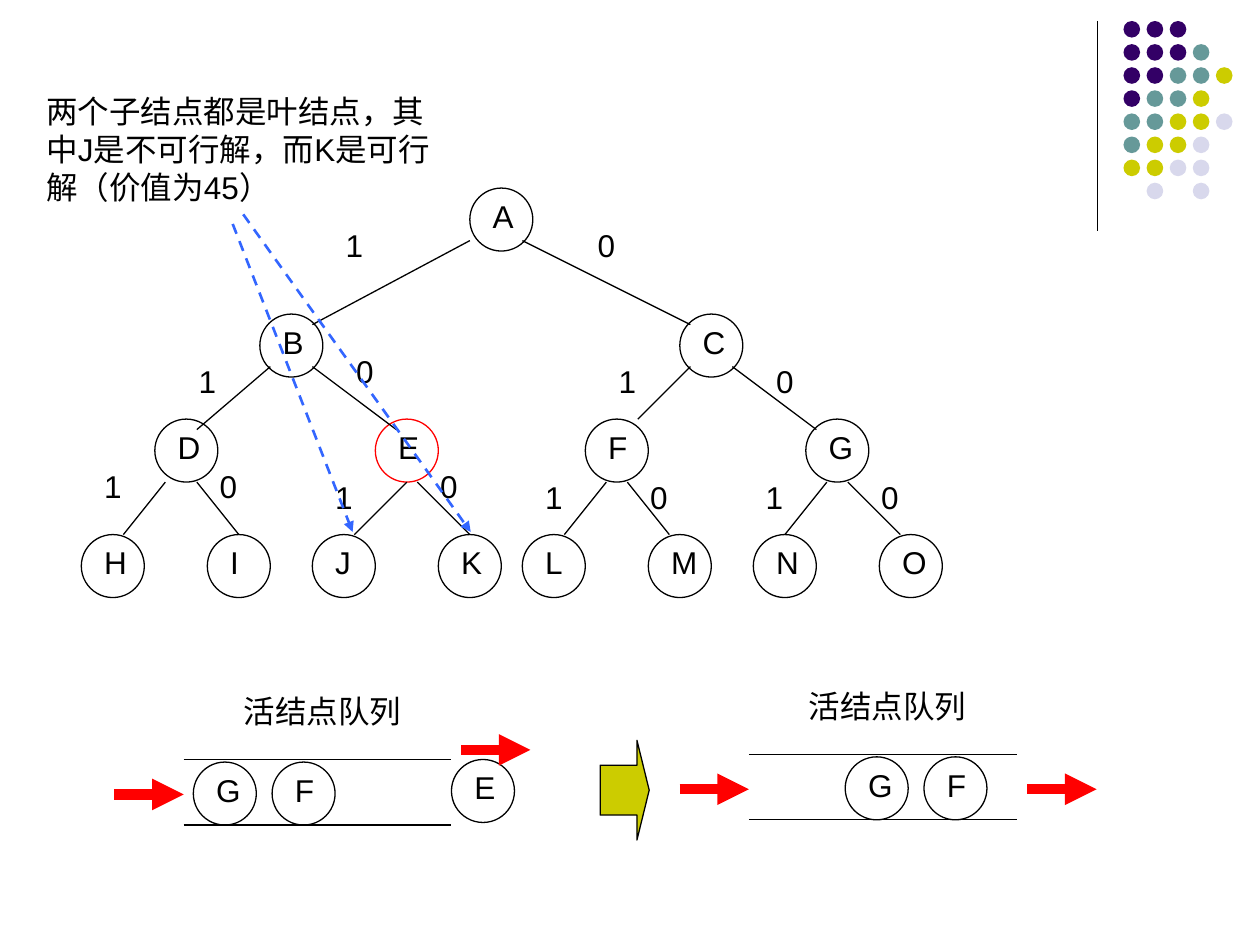
from dataclasses import dataclass
from typing import Optional

from lxml import etree
from pptx import Presentation
from pptx.dml.color import RGBColor
from pptx.enum.dml import MSO_LINE
from pptx.enum.shapes import MSO_CONNECTOR, MSO_SHAPE
from pptx.enum.text import MSO_AUTO_SIZE, PP_ALIGN
from pptx.oxml.ns import qn
from pptx.util import Pt

OVAL = MSO_SHAPE.OVAL
RIGHT_ARROW = MSO_SHAPE.RIGHT_ARROW
STRAIGHT = MSO_CONNECTOR.STRAIGHT
DASH = MSO_LINE.DASH
LEFT, CENTER = PP_ALIGN.LEFT, PP_ALIGN.CENTER

BLACK, RED, BLUE, OLIVE = "000000", "FF0000", "3366FF", "CCCC00"
NODE_SIZE = 36
LABEL_WIDTH, LABEL_HEIGHT = 30, 29
QUEUE_WIDTH, QUEUE_HEIGHT = 153, 37.5
FLOW_LENGTH = 39.6


@dataclass
class Node:
    name: str
    left: float
    top: float
    color: str = BLACK


@dataclass
class Edge:
    start: tuple[float, float]
    end: tuple[float, float]
    label: str
    label_at: tuple[float, float]


@dataclass
class Queue:
    left: float
    top: float
    nodes: list[Node]
    exit_at: tuple[float, float]


presentation = Presentation()
presentation.slide_width, presentation.slide_height = Pt(720), Pt(540)
slide = presentation.slides.add_slide(presentation.slide_layouts[6])


def rgb(color: str) -> RGBColor:
    return RGBColor.from_string(color)


def add_shape(kind, left: float, top: float, width: float, height: float,
              fill: Optional[str] = None, line: Optional[str] = None):
    shape = slide.shapes.add_shape(kind, Pt(left), Pt(top), Pt(width), Pt(height))
    shape.shadow.inherit = False
    if fill:
        shape.fill.solid()
        shape.fill.fore_color.rgb = rgb(fill)
    else:
        shape.fill.background()
    if line:
        shape.line.color.rgb = rgb(line)
        shape.line.width = Pt(0.75)
    else:
        shape.line.fill.background()
    return shape


def add_text(text: str, left: float, top: float, width: float = LABEL_WIDTH,
             height: float = LABEL_HEIGHT, *, size: float = 18,
             color: str = BLACK, align=LEFT) -> None:
    box = slide.shapes.add_textbox(Pt(left), Pt(top), Pt(width), Pt(height))
    frame = box.text_frame
    frame.word_wrap = True
    frame.auto_size = MSO_AUTO_SIZE.SHAPE_TO_FIT_TEXT
    paragraph = frame.paragraphs[0]
    paragraph.text = text
    paragraph.alignment = align
    paragraph.font.name = "Arial"
    paragraph.font.size = Pt(size)
    paragraph.font.color.rgb = rgb(color)


def add_line(start: tuple[float, float], end: tuple[float, float], *,
             color: str = BLACK, width: float = 0.75,
             dash=None, arrow: bool = False) -> None:
    connector = slide.shapes.add_connector(
        STRAIGHT, Pt(start[0]), Pt(start[1]), Pt(end[0]), Pt(end[1]))
    connector.line.color.rgb = rgb(color)
    connector.line.width = Pt(width)
    if dash:
        connector.line.dash_style = dash
    if arrow:
        etree.SubElement(connector.line._get_or_add_ln(), qn("a:tailEnd"), type="triangle")
    etree.SubElement(connector._element.spPr, qn("a:effectLst"))


def draw_node(node: Node) -> None:
    add_shape(OVAL, node.left, node.top, NODE_SIZE, NODE_SIZE, line=node.color)
    add_text(node.name, node.left + 6, node.top + 1.5)


def draw_flow_arrow(left: float, middle: float) -> None:
    add_line((left, middle), (left + FLOW_LENGTH, middle), color=RED, width=6, arrow=True)


def draw_queue(queue: Queue) -> None:
    for side in (queue.top, queue.top + QUEUE_HEIGHT):
        add_line((queue.left, side), (queue.left + QUEUE_WIDTH, side))
    for node in queue.nodes:
        draw_node(node)
    draw_flow_arrow(queue.left - FLOW_LENGTH, queue.top + 20)
    draw_flow_arrow(*queue.exit_at)
    add_text("活结点队列", queue.left + 17, queue.top - 42, 124.5, align=CENTER)


# Corner ornament: a rule and a grid of dots
DOT_COLORS = {"P": "330066", "T": "669999", "Y": OLIVE, "L": "D8D8EC"}
DOT_ROWS = ["PPP", "PPPT", "PPTTY", "PTTY", "TTYYL", "TYYL", "YYLL", " L L"]
add_line((627, 12), (627, 132))
for row, codes in enumerate(DOT_ROWS):
    for column, code in enumerate(codes):
        if code in DOT_COLORS:
            add_shape(OVAL, 642 + 13.2 * column, 12 + 13.2 * row, 9.5, 9.5,
                      fill=DOT_COLORS[code])

# Tree nodes, level by level
LEVELS = [
    (107.5, {"A": 268.5}),
    (179.5, {"B": 148.5, "C": 388.5}),
    (239.5, {"D": 88.5, "E": 214.5, "F": 334.5, "G": 460.5}),
    (305.5, {"H": 46.5, "I": 118.5, "J": 178.5, "K": 250.5,
             "L": 298.5, "M": 370.5, "N": 430.5, "O": 502.5}),
]
for level_top, level in LEVELS:
    for name, node_left in level.items():
        draw_node(Node(name, node_left, level_top, RED if name == "E" else BLACK))

# Tree edges with their branch values
EDGES = [
    Edge((268.5, 137.5), (178.5, 185.5), "1", (190.5, 125.5)),
    Edge((298.5, 137.5), (394.5, 185.5), "0", (334.5, 125.5)),
    Edge((154.5, 209.5), (112.5, 245.5), "1", (106.5, 203.5)),
    Edge((178.5, 209.5), (226.5, 245.5), "0", (196.5, 197.5)),
    Edge((394.5, 209.5), (364.5, 239.5), "1", (346.5, 203.5)),
    Edge((418.5, 209.5), (466.5, 245.5), "0", (436.5, 203.5)),
    Edge((94.5, 275.5), (70.5, 305.5), "1", (52.5, 263.5)),
    Edge((112.5, 275.5), (136.5, 305.5), "0", (118.5, 263.5)),
    Edge((232.5, 275.5), (202.5, 305.5), "1", (184.5, 269.5)),
    Edge((238.5, 275.5), (268.5, 305.5), "0", (244.5, 263.5)),
    Edge((346.5, 275.5), (322.5, 305.5), "1", (304.5, 269.5)),
    Edge((358.5, 275.5), (382.5, 305.5), "0", (364.5, 269.5)),
    Edge((472.5, 275.5), (448.5, 305.5), "1", (430.5, 269.5)),
    Edge((484.5, 275.5), (514.5, 305.5), "0", (496.5, 269.5)),
]
for edge in EDGES:
    add_line(edge.start, edge.end)
    add_text(edge.label, *edge.label_at)

# Remark pointing at leaves J and K
for start, end in [((133, 128), (201.5, 304)), ((139, 122.5), (269, 304))]:
    add_line(start, end, color=BLUE, width=1.5, dash=DASH, arrow=True)
add_text("两个子结点都是叶结点，其中J是不可行解，而K是可行解（价值为45）",
         19.5, 49, 244, 72)

# Queue of live nodes before and after E leaves
draw_queue(Queue(105, 434, [Node("E", 258, 434), Node("F", 155.5, 435.5),
                            Node("G", 110.5, 435.5)], (263.5, 428.5)))
block_arrow = add_shape(RIGHT_ARROW, 343, 423, 28, 57, fill=OLIVE, line=BLACK)
block_arrow.adjustments[0] = 0.5
block_arrow.adjustments[1] = 0.25
draw_queue(Queue(428, 431, [Node("F", 528, 432.5), Node("G", 483, 432.5)], (587, 451)))

presentation.save("out.pptx")
